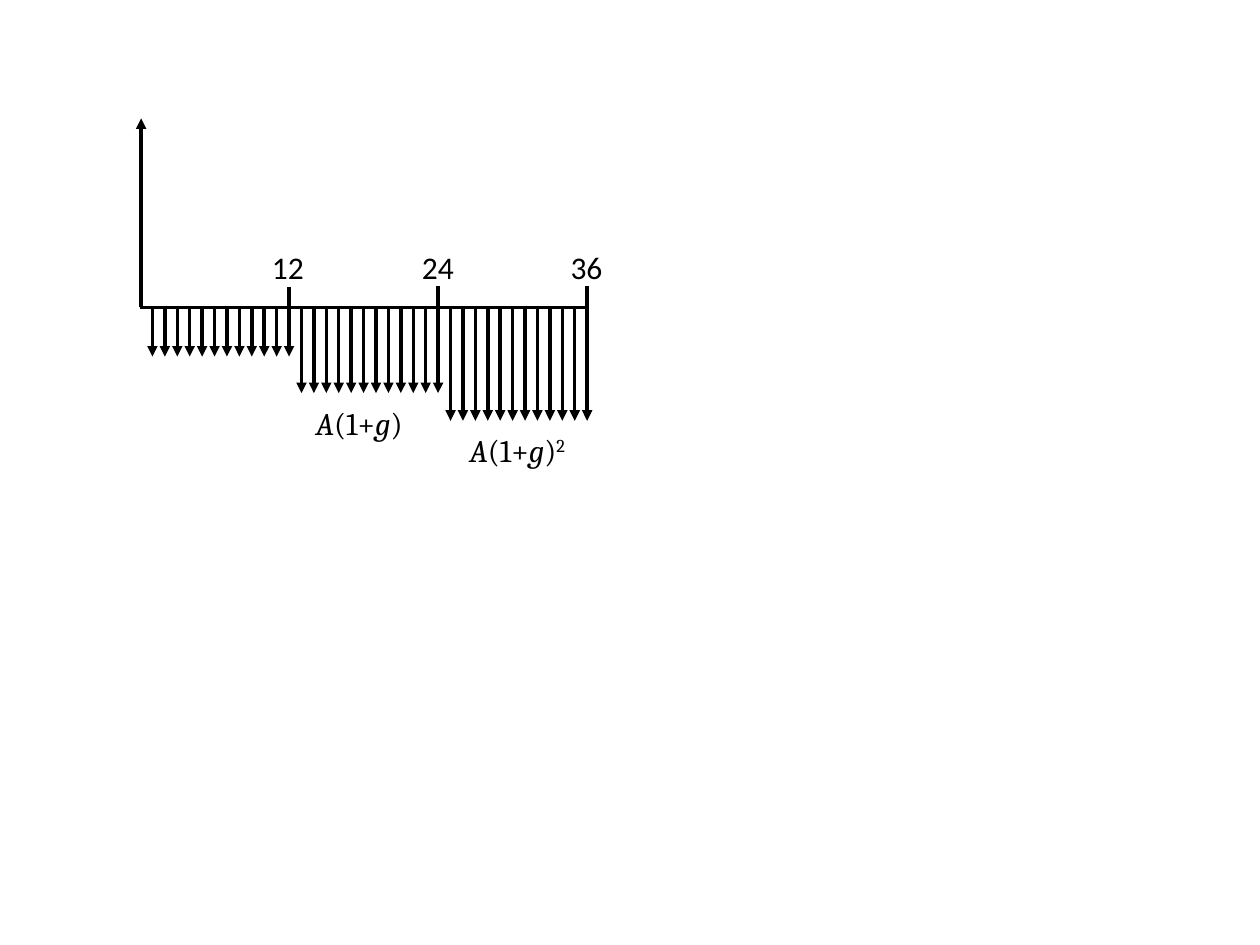
from lxml.etree import SubElement
from pptx import Presentation
from pptx.dml.color import RGBColor
from pptx.enum.shapes import MSO_CONNECTOR as Connector
from pptx.enum.text import MSO_AUTO_SIZE as AutoSize
from pptx.oxml.ns import qn
from pptx.util import Inches, Pt

BLACK = "000000"
AXIS_Y = 2.44
FIRST_MONTH_X, LAST_MONTH_X = 1.21, 4.66
MONTHS_PER_YEAR, MONTHS = 12, 36


def color(value):
    """Turn a hex string into a colour."""
    return RGBColor.from_string(value)


def month_x(month):
    """Give the horizontal place of a month on the time axis."""
    step = (LAST_MONTH_X - FIRST_MONTH_X) / (MONTHS - 1)
    return FIRST_MONTH_X + step * (month - 1)


def add_line(shapes, start, end, arrow=False):
    """Draw a straight black line, with an arrowhead at its end on request."""
    points = [Inches(value) for value in (*start, *end)]
    line = shapes.add_connector(Connector.STRAIGHT, *points)
    line.line.width = Pt(2)
    line.line.color.rgb = color(BLACK)
    if arrow:
        SubElement(line.line._get_or_add_ln(), qn("a:tailEnd"), type="triangle")
    SubElement(line._element.spPr, qn("a:effectLst"))


def add_text(shapes, text, left, top, width, font="Calibri", italics="", superscript=""):
    """Write a one-line label with italic variables and an optional exponent."""
    box = shapes.add_textbox(Inches(left), Inches(top), Inches(width), Inches(0.4))
    box.text_frame.word_wrap = False
    box.text_frame.auto_size = AutoSize.SHAPE_TO_FIT_TEXT
    para = box.text_frame.paragraphs[0]
    pieces = [text]
    for letter in italics:
        pieces = [part for piece in pieces for part in piece.partition(letter) if part]
    for piece in pieces + [superscript] * bool(superscript):
        span = para.add_run()
        span.text = piece
        span.font.name = font
        span.font.size = Pt(18)
        span.font.italic = piece in list(italics)
        span.font.color.rgb = color(BLACK)
    if superscript:
        span._r.get_or_add_rPr().set("baseline", "30000")


def add_payments(shapes, year, top, bottom):
    """Draw one group of twelve equal monthly payment arrows."""
    group = shapes.add_group_shape()
    first = year * MONTHS_PER_YEAR + 1
    for month in range(first, first + MONTHS_PER_YEAR):
        x = month_x(month)
        add_line(group.shapes, (x, top), (x, bottom), arrow=True)


def add_year_mark(shapes, month, label_left, tick_top):
    """Draw the tick and the month number at the end of a year."""
    x = month_x(month)
    add_line(shapes, (x, 2.43), (x, tick_top))
    add_text(shapes, str(month), label_left, 1.92, 0.46)


def main():
    """Build the cash flow diagram and save it."""
    deck = Presentation()
    deck.slide_width, deck.slide_height = Inches(10), Inches(7.5)
    shapes = deck.slides.add_slide(deck.slide_layouts[6]).shapes

    add_line(shapes, (1.11, AXIS_Y), (LAST_MONTH_X, AXIS_Y))
    add_line(shapes, (1.12, AXIS_Y), (1.12, 0.94), arrow=True)
    for year, (top, bottom) in enumerate([(2.44, 2.83), (2.45, 3.12), (2.43, 3.34)]):
        add_payments(shapes, year, top, bottom)
    for month, label_left, tick_top in [(12, 2.06, 2.28), (24, 3.25, 2.27), (36, 4.43, 2.27)]:
        add_year_mark(shapes, month, label_left, tick_top)

    formula = {"font": "Cambria", "italics": "Ag"}
    add_text(shapes, "A(1+g)", 2.41, 3.16, 1.04, **formula)
    add_text(shapes, "A(1+g)", 3.63, 3.37, 1.13, superscript="2", **formula)
    deck.save("out.pptx")


if __name__ == "__main__":
    main()
